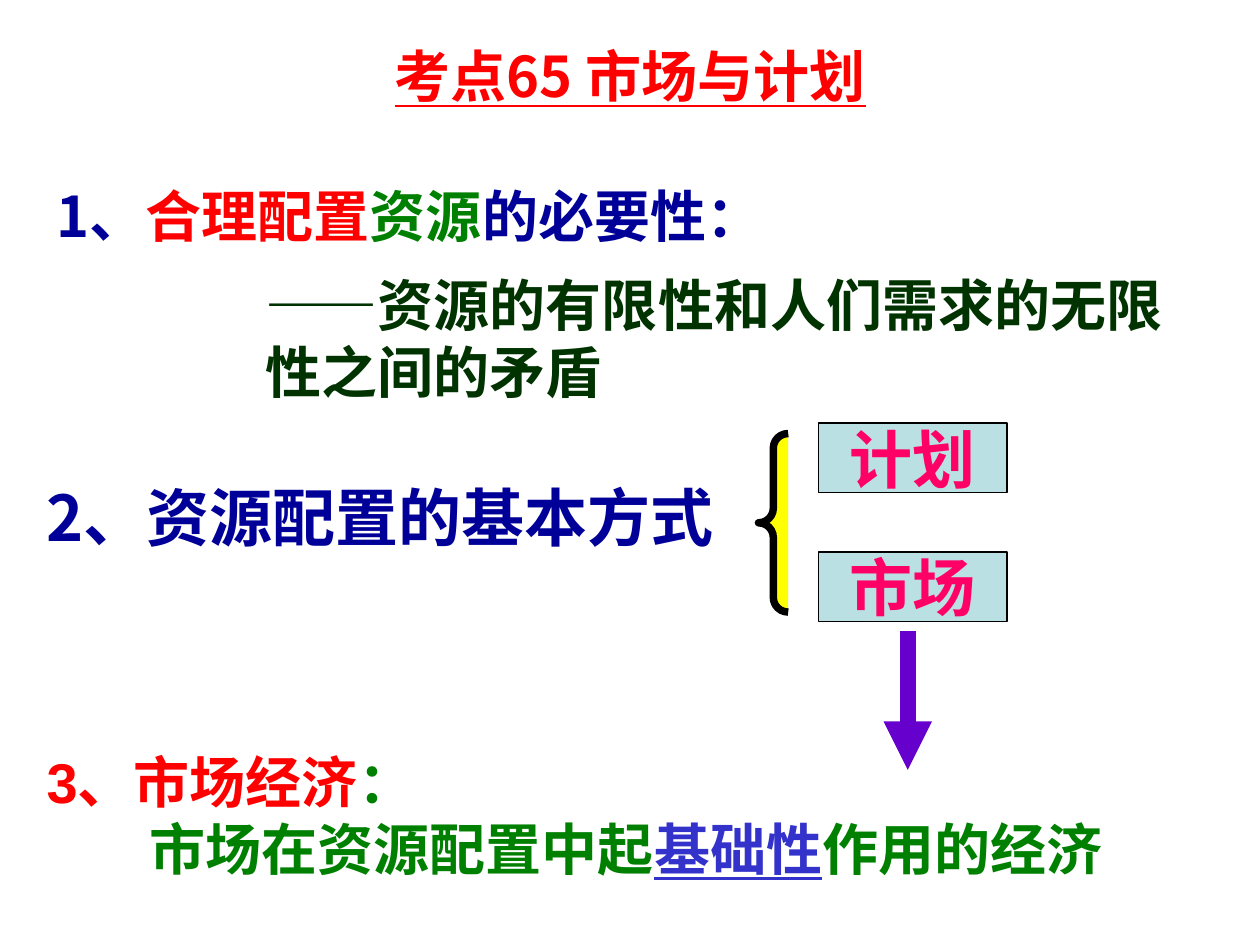
from lxml.etree import SubElement
from pptx import Presentation
from pptx.dml.color import RGBColor
from pptx.enum.shapes import MSO_CONNECTOR, MSO_SHAPE
from pptx.enum.text import MSO_ANCHOR, MSO_AUTO_SIZE, PP_ALIGN
from pptx.oxml.ns import qn
from pptx.util import Cm, Pt

COLORS = {
    "red": "FF0000", "green": "008000", "navy": "000099", "forest": "003300",
    "blue": "3333CC", "pink": "FF0066", "pale": "BBE0E3", "yellow": "FFFF00",
    "purple": "6600CC", "black": "000000",
}
CJK_FONT = "Noto Sans CJK SC"


def color(name):
    return RGBColor.from_string(COLORS[name])


def add_runs(para, runs, size=32, font=CJK_FONT, underlined=()):
    """Add bold runs given as (text, color name) pairs."""
    for text, color_name in runs:
        span = para.add_run()
        span.text = text
        span.font.size = Pt(size)
        span.font.bold = True
        span.font.name = font
        span.font.color.rgb = color(color_name)
        if text in underlined:
            span.font.underline = True
        SubElement(span.font._element, qn("a:ea"), typeface=CJK_FONT)


deck = Presentation()
deck.slide_width, deck.slide_height = Cm(25.4), Cm(19.05)
page = deck.slides.add_slide(deck.slide_layouts[5])

# Title
title = page.shapes.title
title.left, title.top, title.width, title.height = Cm(7.7), Cm(0.71), Cm(10.59), Cm(1.63)
title.text_frame.auto_size = MSO_AUTO_SIZE.NONE
title.text_frame.vertical_anchor = MSO_ANCHOR.TOP
heading = "考点65 市场与计划"
title_para = title.text_frame.paragraphs[0]
title_para.alignment = PP_ALIGN.LEFT
add_runs(title_para, [(heading, "red")], underlined=[heading])

# Numbered points: left, top, width, height, size, font, paragraphs
points = [
    (0.89, 3.53, 18.59, 1.63, 32, CJK_FONT,
     [[("1、", "navy"), ("合理配置", "red"), ("资源", "green"), ("的必要性：", "navy")]]),
    (5.11, 5.33, 18.8, 2.97, 32, CJK_FONT,
     [[("——资源的有限性和人们需求的无限性之间的矛盾", "forest")]]),
    (0.69, 9.53, 15.7, 1.78, 36, CJK_FONT,
     [[("2、资源配置的基本方式", "navy")]]),
    (0.69, 14.94, 22.61, 2.97, 32, "Arial",
     [[("3、市场经济", "red"), ("：", "green")],
      [("市场在资源配置中起", "green"), ("基础性", "blue"), ("作用的经济", "green")]]),
]
for left, top, width, height, size, font, paragraphs in points:
    box = page.shapes.add_textbox(Cm(left), Cm(top), Cm(width), Cm(height))
    frame = box.text_frame
    frame.word_wrap = True
    for index, runs in enumerate(paragraphs):
        para = frame.add_paragraph() if index else frame.paragraphs[0]
        if index:
            para._p.get_or_add_pPr().set("marL", str(Cm(2.08)))
        add_runs(para, runs, size, font, underlined=["基础性"])

# Brace leading to the two ways of allocation
brace = page.shapes.add_shape(MSO_SHAPE.LEFT_BRACE, Cm(15.29), Cm(8.74), Cm(0.6), Cm(3.6))
brace.adjustments[0] = 0.49
brace.shadow.inherit = False
brace.fill.solid()
brace.fill.fore_color.rgb = color("yellow")
brace.line.color.rgb = color("black")
brace.line.width = Pt(4.25)

for row, label in enumerate(["计划", "市场"]):
    way = page.shapes.add_shape(
        MSO_SHAPE.RECTANGLE, Cm(16.5), Cm(8.53 + 2.6 * row), Cm(3.8), Cm(1.4))
    way.shadow.inherit = False
    way.fill.solid()
    way.fill.fore_color.rgb = color("pale")
    way.line.color.rgb = color("black")
    way.line.width = Pt(0.75)
    way.text_frame.word_wrap = False
    way.text_frame.vertical_anchor = MSO_ANCHOR.MIDDLE
    way_para = way.text_frame.paragraphs[0]
    way_para.alignment = PP_ALIGN.CENTER
    add_runs(way_para, [(label, "pink")], 36, "Arial")

# Arrow from the market to the market economy
arrow = page.shapes.add_connector(
    MSO_CONNECTOR.STRAIGHT, Cm(18.3), Cm(12.73), Cm(18.3), Cm(15.52))
arrow.line.color.rgb = color("purple")
arrow.line.width = Pt(9.25)
SubElement(arrow.line._get_or_add_ln(), qn("a:tailEnd"), type="triangle")
SubElement(arrow._element.spPr, qn("a:effectLst"))

deck.save("out.pptx")
